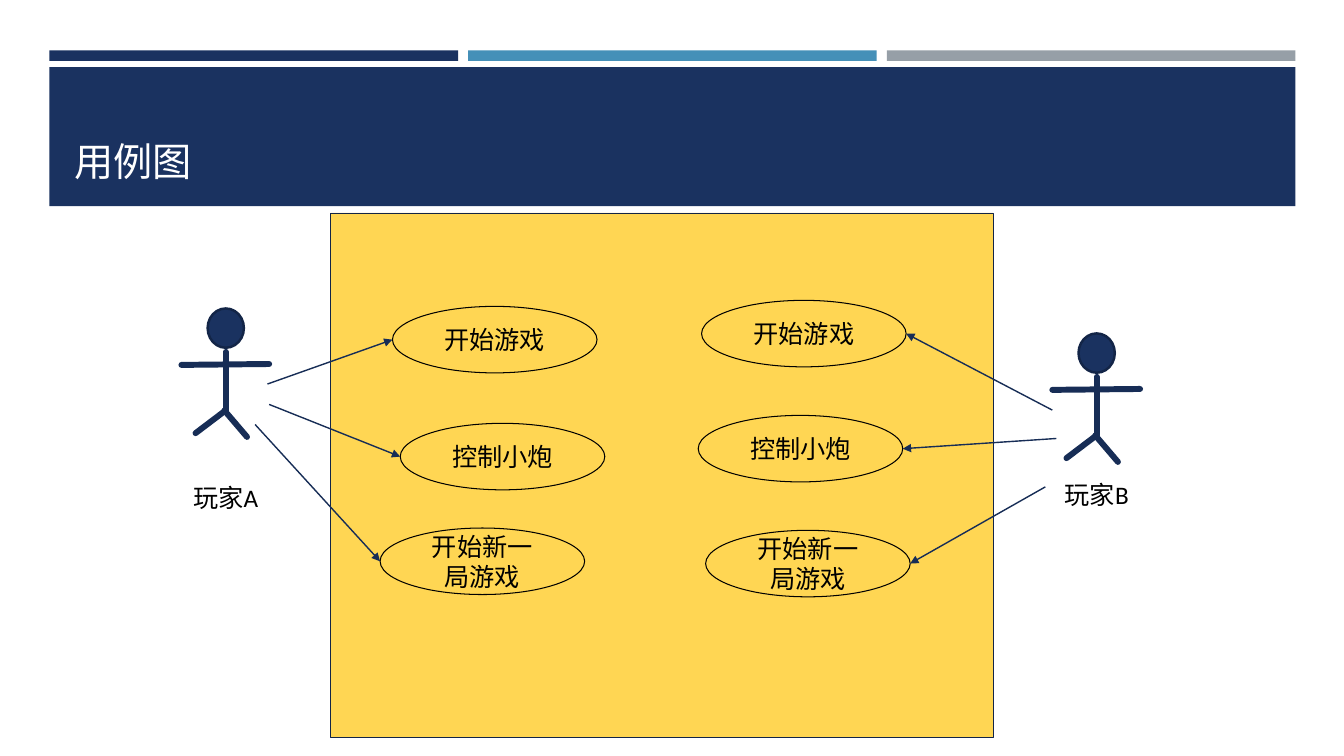
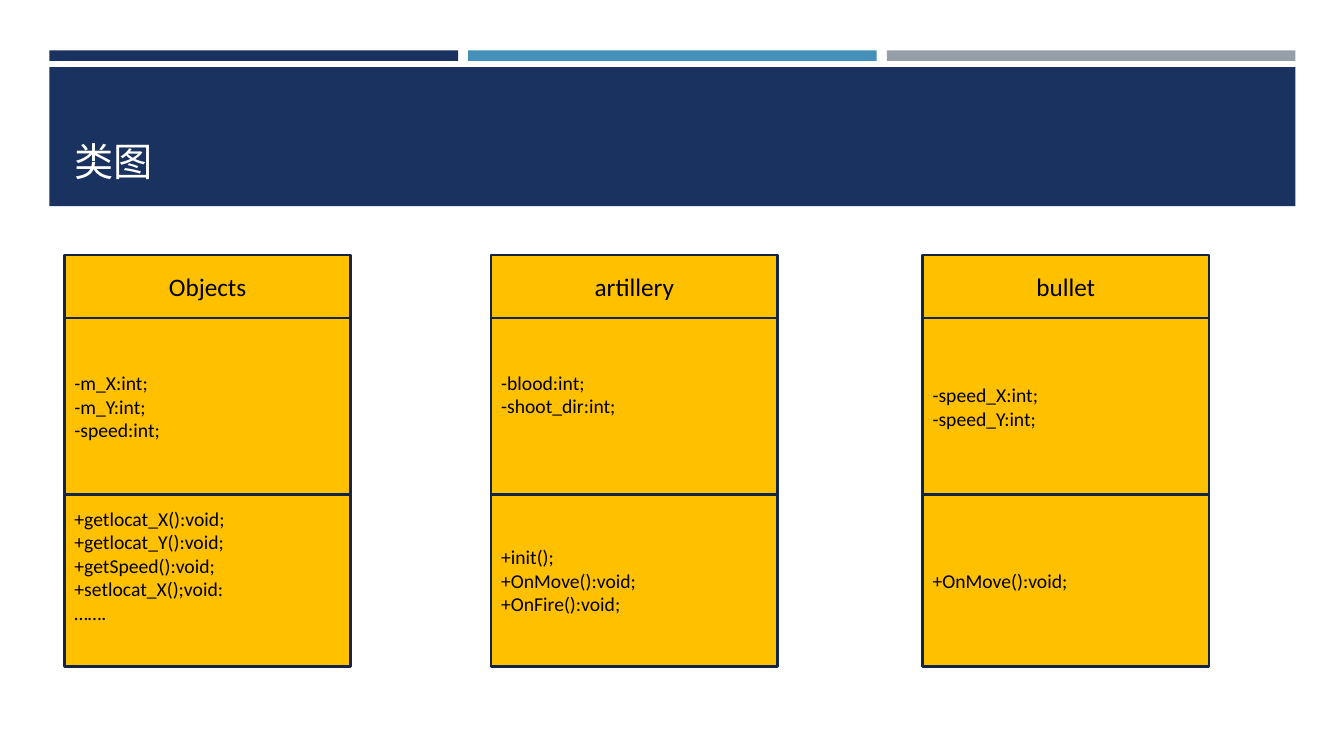
from dataclasses import dataclass
from typing import NamedTuple

from lxml.etree import SubElement
from pptx import Presentation
from pptx.dml.color import RGBColor
from pptx.enum.shapes import MSO_CONNECTOR, MSO_SHAPE
from pptx.enum.text import MSO_ANCHOR, PP_ALIGN
from pptx.oxml.ns import qn
from pptx.shapes.autoshape import Shape
from pptx.shapes.connector import Connector
from pptx.shapes.shapetree import _BaseGroupShapes as ShapeTree
from pptx.slide import Slide
from pptx.util import Emu, Inches, Pt

SLIDE_WIDTH, SLIDE_HEIGHT = Inches(13.33), Inches(7.5)
COLOURS = {
    "navy": "1A3260",
    "blue": "4590B8",
    "grey": "969FA7",
    "outline": "132547",
    "stroke": "172D56",
    "system": "FFD653",
    "class": "FFC000",
    "white": "FFFFFF",
    "black": "000000",
}
LATIN_FONT, CHINESE_FONT = "Calibri", "Noto Sans CJK SC"


class Point(NamedTuple):
    """A place in percent of the slide's width and height."""
    x: float
    y: float


class Box(NamedTuple):
    """A frame in percent of the slide's width and height."""
    left: float
    top: float
    width: float
    height: float


@dataclass(frozen=True)
class UseCase:
    text: str
    corner: Point
    arrow_start: Point


@dataclass(frozen=True)
class Actor:
    name: str
    head: Point
    label: Point
    on_left: bool
    use_cases: tuple[UseCase, ...]


@dataclass(frozen=True)
class Section:
    """Lines of a class box; raise_by keeps that share of the height free below."""
    lines: tuple[str, ...]
    raise_by: float = 0


@dataclass(frozen=True)
class ClassBox:
    name: str
    left: float
    attributes: Section
    methods: Section


BAND = Box(3.68, 8.87, 92.7, 18.4)
BAR_TOP, BAR_HEIGHT, BAR_GAP = 6.67, 1.4, 0.75
TITLE = Box(4.8, 10.67, 90.45, 14.4)

SYSTEM = Box(24.6, 28.15, 49.3, 69.35)
USE_CASE_SIZE = (15.22, 8.8)
LABEL_SIZE = (19.8, 8.8)
HEAD_SIZE = (2.7, 5.2)
# Arms, torso and legs, measured from the head's top left corner
LIMBS = (
    (Point(4.58, 7.35), Point(-1.95, 7.47)),
    (Point(1.35, 5.75), Point(1.35, 13.47)),
    (Point(1.35, 13.47), Point(-0.9, 16.5)),
    (Point(1.25, 13.5), Point(2.93, 17)),
)
ACTORS = (
    Actor("玩家A", Point(15.45, 40.8), Point(6.9, 61.45), True, (
        UseCase("开始游戏", Point(29.2, 40.53), Point(19.9, 50.8)),
        UseCase("控制小炮", Point(29.78, 56), Point(20.03, 53.5)),
        UseCase("开始新一局游戏", Point(28.28, 69.85), Point(18.98, 56.15)),
    )),
    Actor("玩家B", Point(80.25, 44.1), Point(71.7, 61.05), False, (
        UseCase("开始游戏", Point(52.2, 39.73), Point(78.3, 54.25)),
        UseCase("控制小炮", Point(51.95, 54.95), Point(78.6, 58)),
        UseCase("开始新一局游戏", Point(52.5, 70.15), Point(77.78, 64.4)),
    )),
)

CLASS_TOP, CLASS_WIDTH = 33.75, 21.3
NAME_HEIGHT, ATTRIBUTES_HEIGHT, METHODS_HEIGHT = 8.35, 23.35, 22.7
CLASSES = (
    ClassBox("Objects", 4.8,
             Section(("-m_X:int;", "-m_Y:int;", "-speed:int;")),
             Section(("+getlocat_X():void;", "+getlocat_Y():void;",
                      "+getSpeed():void;", "+setlocat_X();void:", "…….",), 4)),
    ClassBox("artillery", 36.55,
             Section(("-blood:int;", "-shoot_dir:int;"), 3.2),
             Section(("+init();", "+OnMove():void;", "+OnFire():void;"))),
    ClassBox("bullet", 68.65,
             Section(("-speed_X:int;", "-speed_Y:int;")),
             Section(("+OnMove():void;",))),
)


def colour(name: str) -> RGBColor:
    return RGBColor.from_string(COLOURS[name])


def across(share: float) -> Emu:
    return Emu(round(SLIDE_WIDTH * share / 100))


def down(share: float) -> Emu:
    return Emu(round(SLIDE_HEIGHT * share / 100))


def frame(box: Box) -> tuple[Emu, Emu, Emu, Emu]:
    return across(box.left), down(box.top), across(box.width), down(box.height)


def add_box(shapes: ShapeTree, box: Box, fill: str | None = None,
            line: str | None = None, line_width: float = 0,
            kind: MSO_SHAPE = MSO_SHAPE.RECTANGLE) -> Shape:
    shape = shapes.add_shape(kind, *frame(box))
    shape.shadow.inherit = False
    if fill:
        shape.fill.solid()
        shape.fill.fore_color.rgb = colour(fill)
    else:
        shape.fill.background()
    if line:
        shape.line.color.rgb = colour(line)
        shape.line.width = Pt(line_width)
    else:
        shape.line.fill.background()
    return shape


def write(shape: Shape, lines: tuple[str, ...], size: float = 18,
          align: PP_ALIGN = PP_ALIGN.CENTER, anchor: MSO_ANCHOR = MSO_ANCHOR.MIDDLE,
          font_colour: str = "black", font: str = LATIN_FONT) -> None:
    text_frame = shape.text_frame
    text_frame.word_wrap = True
    text_frame.vertical_anchor = anchor
    for index, line in enumerate(lines):
        paragraph = text_frame.add_paragraph() if index else text_frame.paragraphs[0]
        paragraph.alignment = align
        run = paragraph.add_run()
        run.text = line
        run.font.size = Pt(size)
        run.font.name = font
        run.font.color.rgb = colour(font_colour)
        SubElement(run.font._element, qn("a:ea"), typeface=CHINESE_FONT)


def add_line(shapes: ShapeTree, start: Point, end: Point, width: float) -> Connector:
    connector = shapes.add_connector(
        MSO_CONNECTOR.STRAIGHT,
        across(start.x), down(start.y), across(end.x), down(end.y))
    connector.line.color.rgb = colour("stroke")
    connector.line.width = Pt(width)
    SubElement(connector._element.spPr, qn("a:effectLst"))
    return connector


def add_arrow(slide: Slide, start: Point, ellipse: Shape, to_left: bool) -> None:
    """Join an arrow to the left or right end of an ellipse."""
    connector = add_line(slide.shapes, start, start, 1)
    connector.end_connect(ellipse, 1 if to_left else 3)
    # An ellipse has eight connection sites: 2 is left and 6 is right
    joint = connector._element.find(".//" + qn("a:endCxn"))
    joint.set("idx", "2" if to_left else "6")
    SubElement(connector.line._get_or_add_ln(), qn("a:tailEnd"), type="triangle")


def add_titled_slide(presentation: Presentation, title: str) -> Slide:
    slide = presentation.slides.add_slide(presentation.slide_layouts[6])
    bar_width = (BAND.width - 2 * BAR_GAP) / 3
    for column, fill in enumerate(("navy", "blue", "grey")):
        left = BAND.left + column * (bar_width + BAR_GAP)
        add_box(slide.shapes, Box(left, BAR_TOP, bar_width, BAR_HEIGHT), fill)
    add_box(slide.shapes, BAND, "navy")
    write(slide.shapes.add_textbox(*frame(TITLE)), (title,), 28, PP_ALIGN.LEFT,
          MSO_ANCHOR.BOTTOM, "white", CHINESE_FONT)
    return slide


def add_actor(slide: Slide, actor: Actor) -> None:
    figure = slide.shapes.add_group_shape().shapes
    add_box(figure, Box(*actor.head, *HEAD_SIZE), "navy", "outline", 1.75,
            MSO_SHAPE.OVAL)
    for limb in LIMBS:
        start, end = (Point(actor.head.x + joint.x, actor.head.y + joint.y)
                      for joint in limb)
        connector = add_line(figure, start, end, 4.25)
        connector.line._get_or_add_ln().set("cap", "rnd")
    label = slide.shapes.add_textbox(*frame(Box(*actor.label, *LABEL_SIZE)))
    write(label, (actor.name,))


def add_use_cases(slide: Slide, actor: Actor) -> None:
    for use_case in actor.use_cases:
        ellipse = add_box(slide.shapes, Box(*use_case.corner, *USE_CASE_SIZE),
                          line="black", line_width=0.75, kind=MSO_SHAPE.OVAL)
        write(ellipse, (use_case.text,))
        add_arrow(slide, use_case.arrow_start, ellipse, actor.on_left)


def add_class(slide: Slide, class_box: ClassBox) -> None:
    group = slide.shapes.add_group_shape().shapes
    rows = (
        (NAME_HEIGHT, Section((class_box.name,)), 18, PP_ALIGN.CENTER),
        (ATTRIBUTES_HEIGHT, class_box.attributes, 14, PP_ALIGN.LEFT),
        (METHODS_HEIGHT, class_box.methods, 14, PP_ALIGN.LEFT),
    )
    top = CLASS_TOP
    for height, section, size, align in rows:
        box = Box(class_box.left, top, CLASS_WIDTH, height)
        shape = add_box(group, box, "class", "outline", 1.75)
        write(shape, section.lines, size, align)
        shape.text_frame.margin_bottom += down(section.raise_by)
        top += height


def main() -> None:
    presentation = Presentation()
    presentation.slide_width, presentation.slide_height = SLIDE_WIDTH, SLIDE_HEIGHT

    use_case_slide = add_titled_slide(presentation, "用例图")
    add_box(use_case_slide.shapes, SYSTEM, "system", "outline", 0.25)
    for actor in ACTORS:
        add_actor(use_case_slide, actor)
        add_use_cases(use_case_slide, actor)

    class_slide = add_titled_slide(presentation, "类图")
    for class_box in CLASSES:
        add_class(class_slide, class_box)

    presentation.save("out.pptx")


if __name__ == "__main__":
    main()
